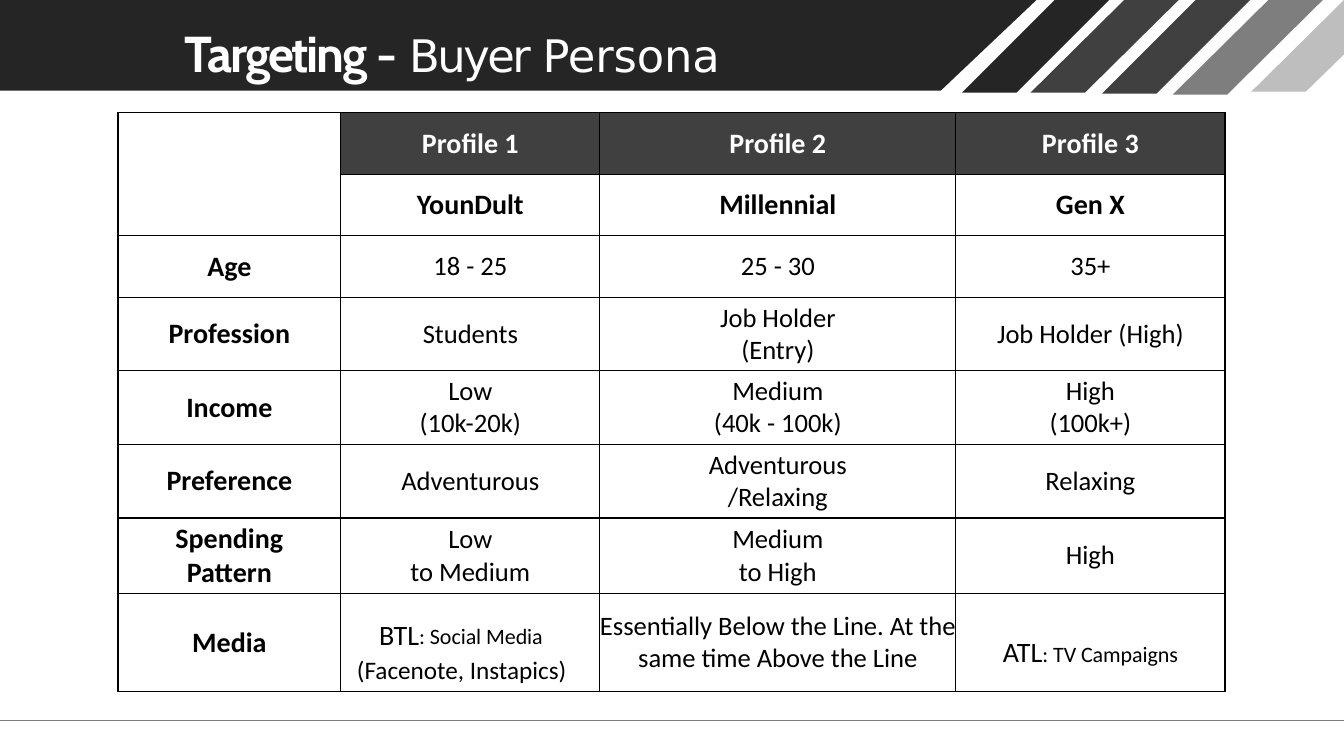
"""Build the buyer persona slide with its striped banner and profile table."""
from lxml import etree
from pptx import Presentation
from pptx.dml.color import RGBColor
from pptx.enum.shapes import MSO_CONNECTOR
from pptx.enum.text import MSO_ANCHOR, PP_ALIGN
from pptx.oxml.ns import qn
from pptx.util import Inches, Pt

CENTER, LEFT = PP_ALIGN.CENTER, PP_ALIGN.LEFT
MIDDLE, TOP = MSO_ANCHOR.MIDDLE, MSO_ANCHOR.TOP
STRAIGHT = MSO_CONNECTOR.STRAIGHT

DARK, CHARCOAL, GREY, SILVER = "252525", "404040", "7E7E7E", "BEBEBE"
WHITE, BLACK = "FFFFFF", "000000"

STRIPE_WIDTH = 0.54
STRIPES = [
    (10.46, 9.54, 0.92, DARK),
    (11.15, 10.22, 0.92, CHARCOAL),
    (11.86, 10.93, 0.93, CHARCOAL),
    (12.58, 11.63, 0.94, GREY),
]
COLUMNS = [2.21, 2.57, 3.53, 2.67]
ROWS = [0.61, 0.61, 0.61, 0.73, 0.73, 0.73, 0.75, 0.97]
PERSONAS = [
    ["", "Profile 1", "Profile 2", "Profile 3"],
    ["", "YounDult", "Millennial", "Gen X"],
    ["Age", "18 - 25", "25 - 30", "35+"],
    ["Profession", "Students", "Job Holder\v(Entry)", "Job Holder (High)"],
    ["Income", "Low\v(10k-20k)", "Medium\v(40k - 100k)", "High\v(100k+)"],
    ["Preference", "Adventurous", "Adventurous\v/Relaxing", "Relaxing"],
    ["Spending\vPattern", "Low\vto Medium", "Medium\vto High", "High"],
    ["Media", "", "Essentially Below the Line. At the same time Above the Line", ""],
]


def rgb(value):
    return RGBColor.from_string(value)


class PersonaSlide:
    """Hold the table style and the current slide, and draw each kind of element."""

    font = "Calibri"
    label_size, body_size = 20, 19

    def __init__(self, presentation):
        self.slide = presentation.slides.add_slide(presentation.slide_layouts[6])

    def band(self, points, color):
        corners = [(Inches(x), Inches(y)) for x, y in points]
        builder = self.slide.shapes.build_freeform(*corners[0])
        builder.add_line_segments(corners[1:], close=True)
        shape = builder.convert_to_shape()
        shape.shadow.inherit = False
        shape.fill.solid()
        shape.fill.fore_color.rgb = rgb(color)
        shape.line.fill.background()

    def rule(self, y, width, color, weight):
        line = self.slide.shapes.add_connector(
            STRAIGHT, 0, Inches(y), Inches(width), Inches(y))
        line.line.color.rgb = rgb(color)
        line.line.width = Pt(weight)
        etree.SubElement(line._element.spPr, qn("a:effectLst"))

    def run(self, paragraph, text, font, size, color, bold=False, spacing=0, baseline=0):
        run = paragraph.add_run()
        run.text = text
        run.font.name = font
        run.font.size = Pt(size)
        run.font.bold = bold
        run.font.color.rgb = rgb(color)
        properties = run.font._element if hasattr(run.font, "_element") else run.font._rPr
        if spacing:
            properties.set("spc", str(round(spacing * 100)))
        if baseline:
            properties.set("baseline", str(baseline * 1000))

    def title(self, left, top, width, height, runs):
        frame = self.slide.shapes.add_textbox(
            Inches(left), Inches(top), Inches(width), Inches(height)).text_frame
        frame.word_wrap = True
        frame.margin_left = frame.margin_right = frame.margin_bottom = 0
        frame.margin_top = Inches(0.01)
        for text, font, size, bold, spacing in runs:
            self.run(frame.paragraphs[0], text, font, size, WHITE, bold, spacing)

    def border(self, cell):
        properties = cell._tc.get_or_add_tcPr()
        for position, side in enumerate(("a:lnL", "a:lnR", "a:lnT", "a:lnB")):
            line = etree.Element(qn(side), w=str(Pt(1)))
            fill = etree.SubElement(line, qn("a:solidFill"))
            etree.SubElement(fill, qn("a:srgbClr"), val=BLACK)
            properties.insert(position, line)

    def table(self, left, top, columns, rows, content):
        table = self.slide.shapes.add_table(
            len(rows), len(columns), Inches(left), Inches(top),
            Inches(sum(columns)), Inches(sum(rows))).table
        table.first_row = table.horz_banding = False
        for column, width in zip(table.columns, columns):
            column.width = Inches(width)
        for row, height in zip(table.rows, rows):
            row.height = Inches(height)
        for r, texts in enumerate(content):
            for c, text in enumerate(texts):
                self.cell(table.cell(r, c), text, r < 2 or c == 0, r == 0 and c > 0)
        table.cell(0, 0).merge(table.cell(1, 0))
        return table

    def cell(self, cell, text, label, header):
        cell.margin_left = cell.margin_right = cell.margin_top = cell.margin_bottom = 0
        cell.vertical_anchor = MIDDLE
        if header:
            cell.fill.solid()
            cell.fill.fore_color.rgb = rgb(CHARCOAL)
        else:
            cell.fill.background()
        self.border(cell)
        paragraph = cell.text_frame.paragraphs[0]
        paragraph.text = text
        paragraph.alignment = CENTER
        paragraph.font.name = self.font
        paragraph.font.size = Pt(self.label_size if label else self.body_size)
        paragraph.font.bold = label
        paragraph.font.color.rgb = rgb(WHITE if header else BLACK)

    def media(self, cell, margin, alignment, channel, detail, examples=""):
        cell.vertical_anchor = TOP
        cell.margin_top = Inches(margin)
        paragraph = cell.text_frame.paragraphs[0]
        paragraph.alignment = alignment
        self.run(paragraph, channel, self.font, 20, BLACK)
        self.run(paragraph, detail, self.font, 27, BLACK, baseline=2)
        if examples:
            properties = paragraph._p.get_or_add_pPr()
            properties.set("marL", str(Inches(0.16)))
            properties.set("indent", str(Inches(0.22)))
            paragraph.add_line_break()
            self.run(paragraph, examples, self.font, 18, BLACK)


def main():
    presentation = Presentation()
    presentation.slide_width, presentation.slide_height = Inches(13.33), Inches(7.5)
    page = PersonaSlide(presentation)

    page.band([(10.28, 0), (0, 0), (0, 0.9), (9.33, 0.9)], DARK)
    for top, foot, depth, color in STRIPES:
        page.band([(top + STRIPE_WIDTH, 0), (top, 0), (foot, depth),
                   (foot + STRIPE_WIDTH, depth)], color)
    page.band([(13.33, 0), (12.41, 0.91), (12.95, 0.91), (13.33, 0.54)], SILVER)
    page.title(1.83, 0.21, 5.8, 0.63, [
        ("Targeting ", "Cabin", 36, True, -1.6),
        ("- ", "Cabin", 36, True, 0),
        ("Buyer ", "DejaVu Sans", 32, False, -1.8),
        ("Persona", "DejaVu Sans", 32, False, -0.1),
    ])
    page.rule(7.15, 13.33, GREY, 0.72)

    personas = page.table(1.17, 1.12, COLUMNS, ROWS, PERSONAS)
    page.media(personas.cell(7, 1), 0.16, LEFT, "BTL", ": Social Media",
               "(Facenote, Instapics)")
    page.media(personas.cell(7, 3), 0.33, CENTER, "ATL", ": TV Campaigns")

    presentation.save("out.pptx")


if __name__ == "__main__":
    main()
